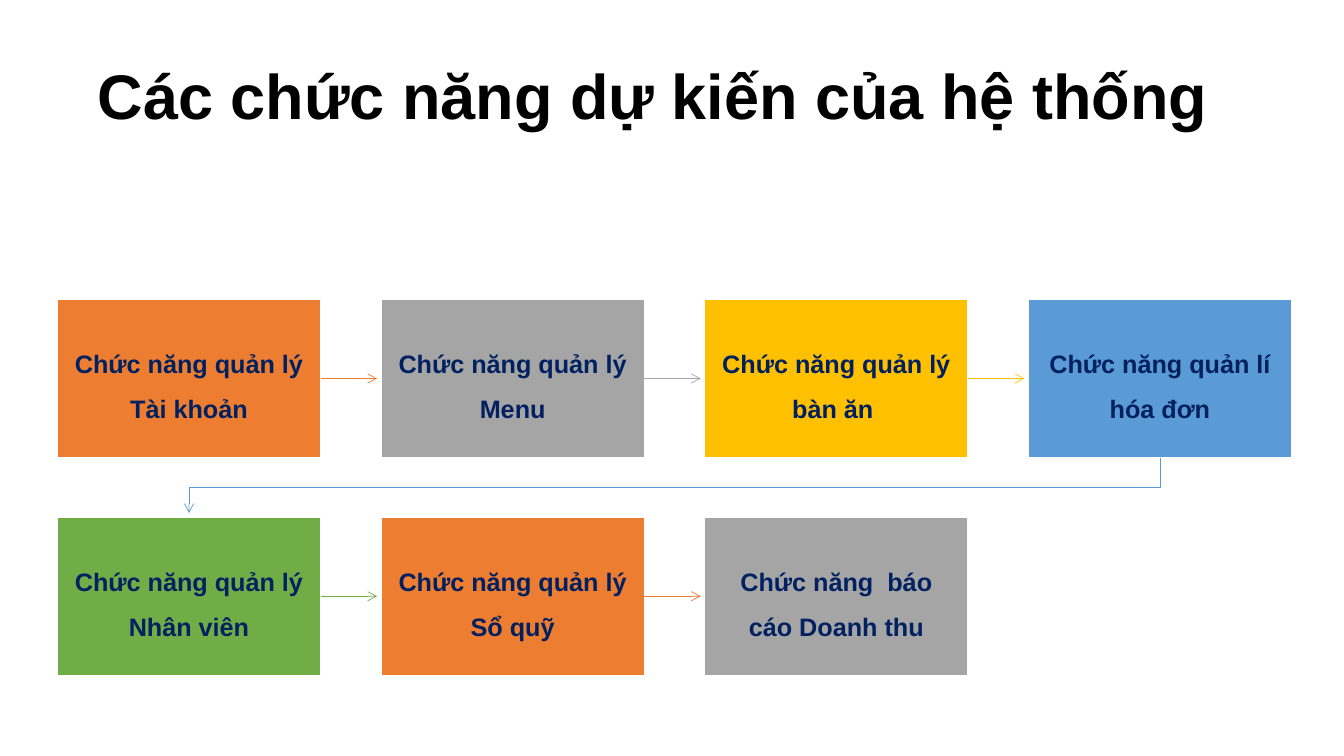
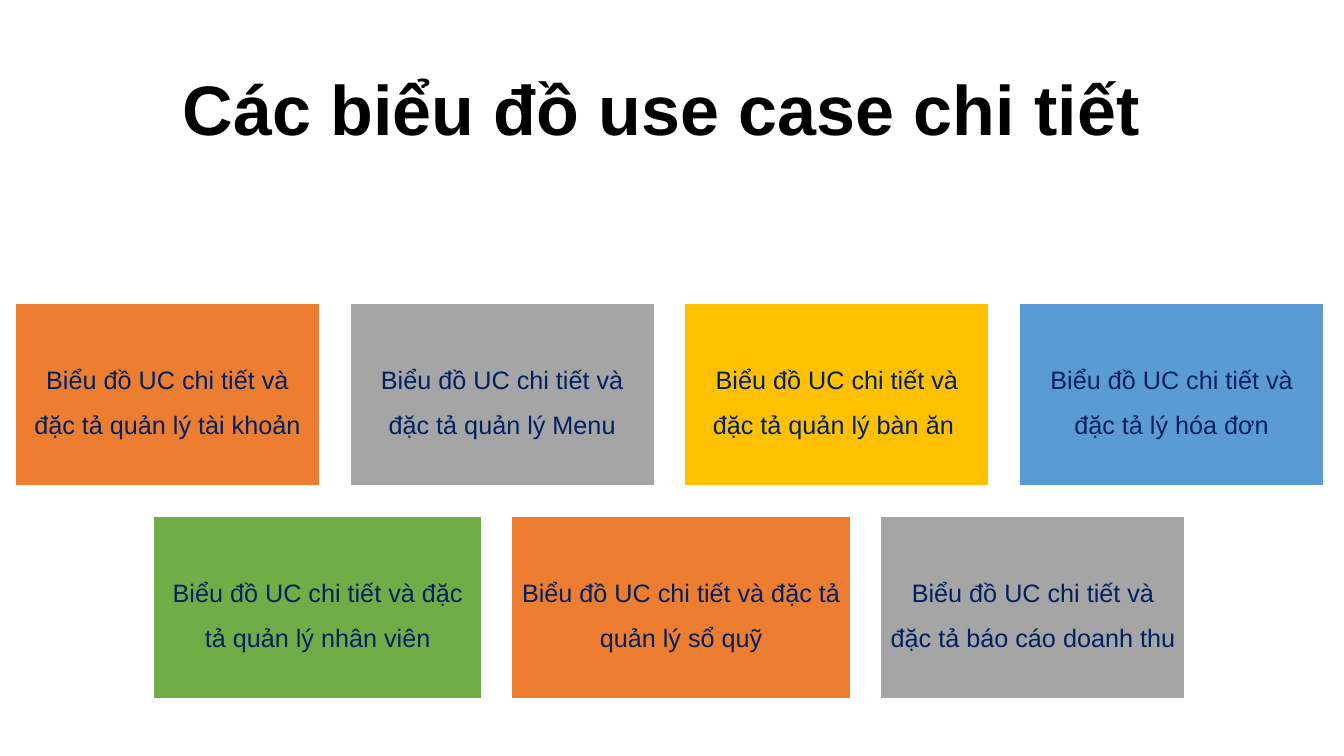
import itertools

import pptx
import pptx.util
import pptx.dml.color
import pptx.enum.shapes
import pptx.enum.text
import pptx.oxml

Inches = pptx.util.Inches
Pt = pptx.util.Pt

COLORS = {
    "orange": "ED7D31",
    "gray": "A5A5A5",
    "gold": "FFC000",
    "blue": "5B9BD5",
    "green": "70AD47",
    "navy": "002060",
    "black": "000000",
    "white": "FFFFFF",
}
CARD_CYCLE = ["orange", "gray", "gold", "blue", "green"]
FONT = "Arial"
DRAWING_NS = "http://schemas.openxmlformats.org/drawingml/2006/main"

FUNCTIONS = [
    "Chức năng quản lý Tài khoản",
    "Chức năng quản lý Menu",
    "Chức năng quản lý bàn ăn ",
    "Chức năng quản lí hóa đơn",
    "Chức năng quản lý Nhân viên",
    "Chức năng quản lý Sổ quỹ",
    "Chức năng  báo cáo Doanh thu",
]
USE_CASE_ROWS = [
    (3.01, [
        ("Biểu đồ UC chi tiết và đặc tả quản lý tài khoản", 3.02),
        ("Biểu đồ UC chi tiết và đặc tả quản lý Menu", 3.02),
        ("Biểu đồ UC chi tiết và đặc tả quản lý bàn ăn ", 3.02),
        ("Biểu đồ UC chi tiết và đặc tả lý hóa đơn", 3.02),
    ]),
    (5.12, [
        ("Biểu đồ UC chi tiết và đặc tả quản lý nhân viên", 3.25),
        ("Biểu đồ UC chi tiết và đặc tả quản lý sổ quỹ", 3.36),
        ("Biểu đồ UC chi tiết và đặc tả báo cáo doanh thu", 3.02),
    ]),
]


def rgb(color):
    return pptx.dml.color.RGBColor.from_string(COLORS[color])


def style_text(paragraph, size, color, bold, spacing):
    paragraph.alignment = pptx.enum.text.PP_ALIGN.CENTER
    paragraph.line_spacing = spacing
    paragraph.font.name = FONT
    paragraph.font.size = Pt(size)
    paragraph.font.bold = bold
    paragraph.font.color.rgb = rgb(color)


def add_titled_slide(deck, text, left, top, size, bottom_margin):
    slide = deck.slides.add_slide(deck.slide_layouts[5])
    title = slide.shapes.title
    title.left, title.top = Inches(left), Inches(top)
    title.width, title.height = Inches(11.89), Inches(1.72)
    frame = title.text_frame
    frame.text = text
    frame.word_wrap = True
    frame.auto_size = pptx.enum.text.MSO_AUTO_SIZE.NONE
    frame.vertical_anchor = pptx.enum.text.MSO_ANCHOR.BOTTOM
    frame.margin_bottom = Inches(bottom_margin)
    style_text(frame.paragraphs[0], size, "black", True, 0.9)
    return slide


def add_card(slide, text, color, left, top, width, height, margin, bold):
    card = slide.shapes.add_shape(
        pptx.enum.shapes.MSO_SHAPE.RECTANGLE,
        Inches(left), Inches(top), Inches(width), Inches(height))
    card.shadow.inherit = False
    card.fill.solid()
    card.fill.fore_color.rgb = rgb(color)
    card.line.color.rgb = rgb("white")
    card.line.width = Pt(1)
    frame = card.text_frame
    frame.text = text
    frame.word_wrap = True
    frame.vertical_anchor = pptx.enum.text.MSO_ANCHOR.MIDDLE
    frame.margin_left = frame.margin_right = Inches(margin)
    frame.margin_top = frame.margin_bottom = Inches(margin)
    style_text(frame.paragraphs[0], 18, "navy", bold, 1.5)
    return card


def style_arrow(line, color):
    line.color.rgb = rgb(color)
    line.width = Pt(0.5)
    line._get_or_add_ln().append(pptx.oxml.parse_xml(
        f'<a:tailEnd xmlns:a="{DRAWING_NS}" type="arrow"/>'))


def add_step_arrow(slide, source, target, color):
    y = source.top + source.height // 2
    arrow = slide.shapes.add_connector(
        pptx.enum.shapes.MSO_CONNECTOR.STRAIGHT,
        source.left + source.width, y, target.left - Inches(0.04), y)
    arrow.begin_connect(source, 3)
    style_arrow(arrow.line, color)
    arrow._element.spPr.append(pptx.oxml.parse_xml(
        f'<a:effectLst xmlns:a="{DRAWING_NS}"/>'))


def add_row_return(slide, source, target, color):
    start_x = source.left + source.width // 2
    start_y = source.top + source.height
    end_x = target.left + target.width // 2
    turn_y = (start_y + target.top) // 2
    builder = slide.shapes.build_freeform(start_x, start_y)
    builder.add_line_segments(
        [(start_x, turn_y), (end_x, turn_y),
         (end_x, target.top - Inches(0.04))], close=False)
    route = builder.convert_to_shape()
    route.shadow.inherit = False
    route.fill.background()
    style_arrow(route.line, color)


def build_functions(deck):
    slide = add_titled_slide(
        deck, "Các chức năng dự kiến của hệ thống", 0.53, 0.4, 45, 0.8)
    columns = 4
    colors = list(itertools.islice(
        itertools.cycle(CARD_CYCLE), len(FUNCTIONS)))
    cards = []
    for index, (text, color) in enumerate(zip(FUNCTIONS, colors)):
        row, column = divmod(index, columns)
        cards.append(add_card(
            slide, text, color, 0.57 + 3.21 * column, 2.97 + 2.16 * row,
            2.61, 1.57, 0.13, True))
    for source, target, color in zip(cards, cards[1:], colors):
        same_row = source.top == target.top
        connect = add_step_arrow if same_row else add_row_return
        connect(slide, source, target, color)


def build_use_cases(deck):
    slide = add_titled_slide(
        deck, "Các biểu đồ use case chi tiết", 0.62, 0.66, 50, 0.89)
    center, gap = 6.64, 0.3
    colors = itertools.cycle(CARD_CYCLE)
    for top, cases in USE_CASE_ROWS:
        row_width = sum(width for _, width in cases) + gap * (len(cases) - 1)
        left = center - row_width / 2
        for text, width in cases:
            add_card(slide, text, next(colors), left, top,
                     width, 1.81, 0.08, False)
            left += width + gap


def main():
    deck = pptx.Presentation()
    deck.slide_width, deck.slide_height = Inches(13.33), Inches(7.5)
    build_functions(deck)
    build_use_cases(deck)
    deck.save("out.pptx")


if __name__ == "__main__":
    main()
